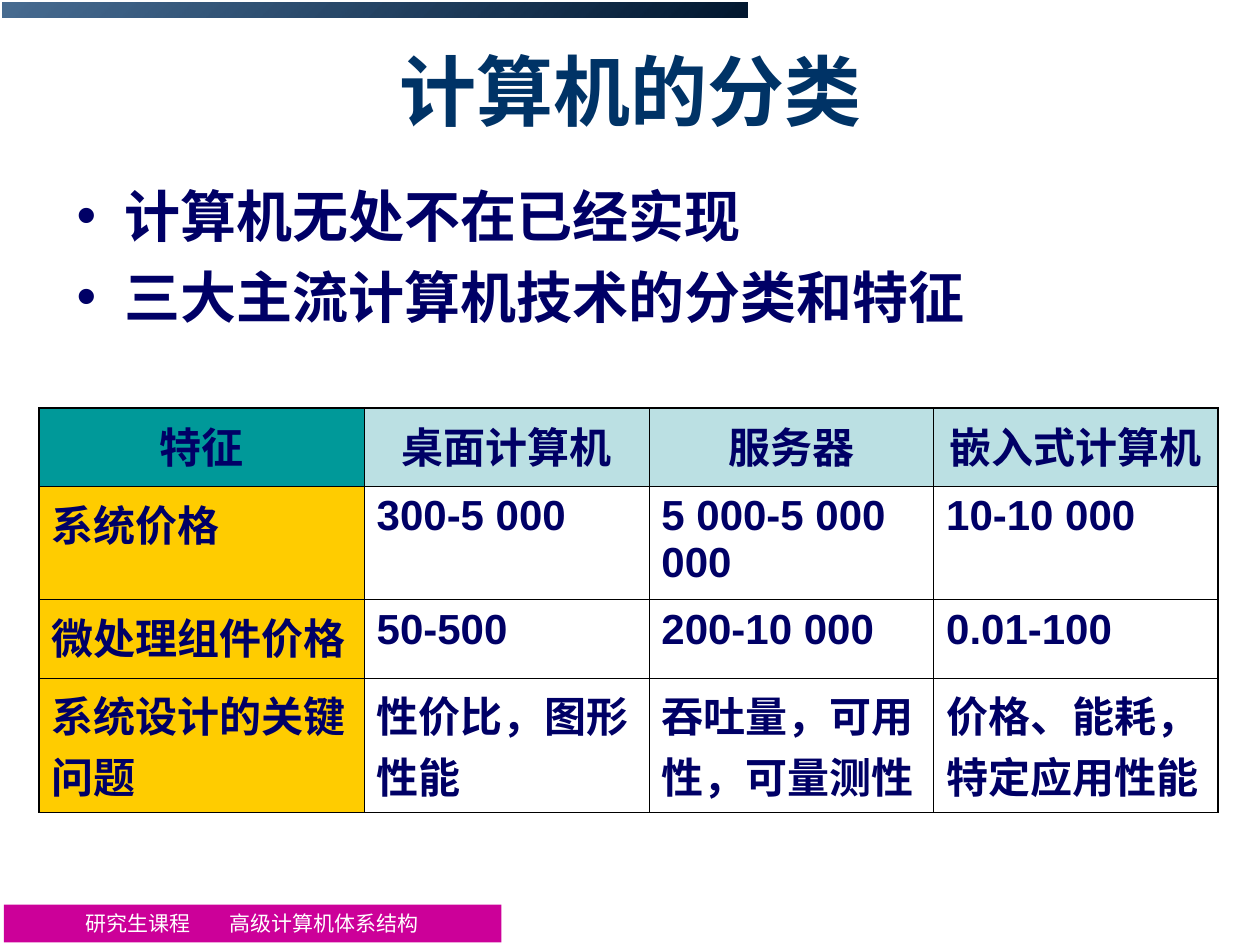
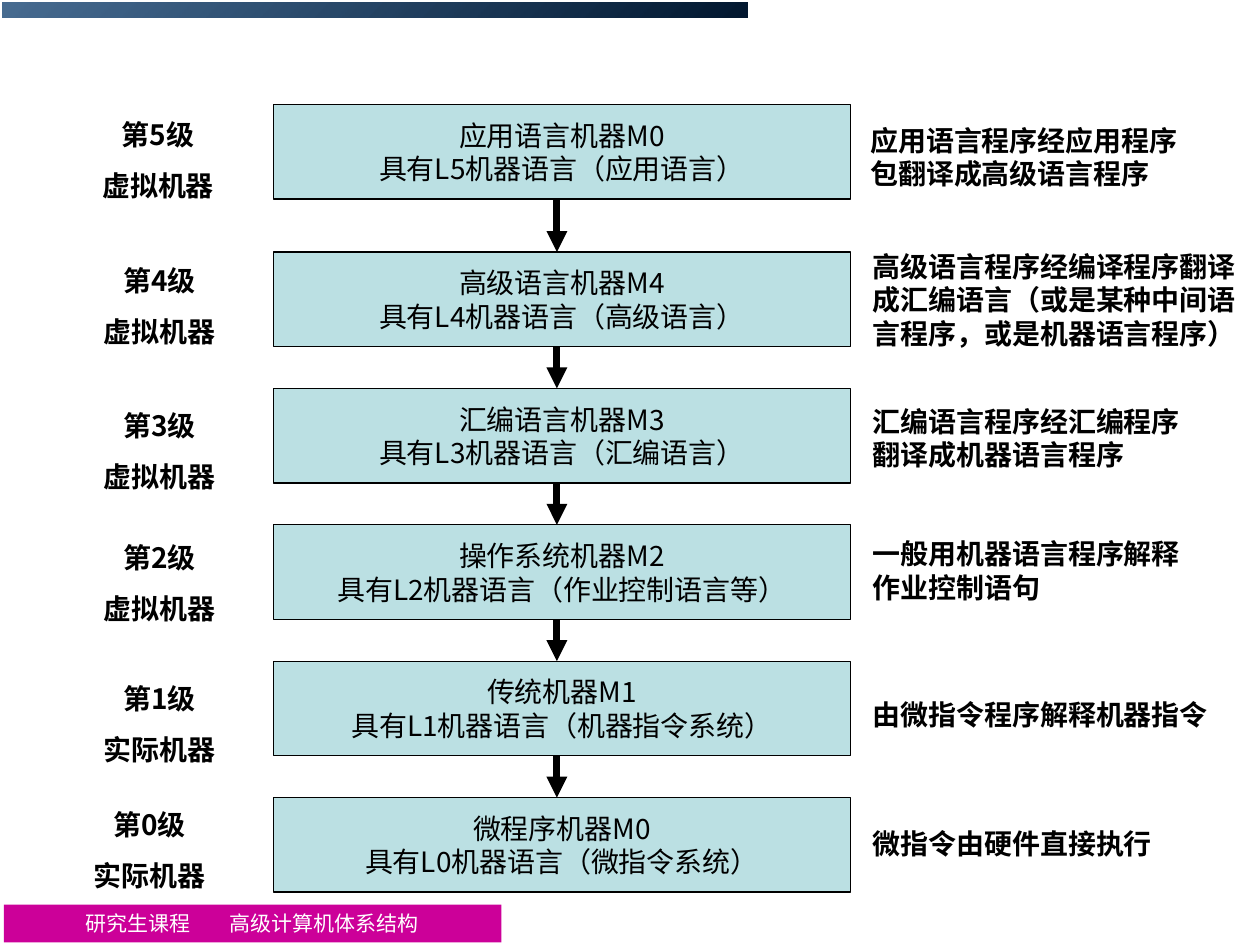
from lxml import etree
from pptx import Presentation
from pptx.dml.color import RGBColor
from pptx.enum.shapes import MSO_CONNECTOR as Connector, MSO_SHAPE as Shape
from pptx.enum.text import MSO_ANCHOR as Anchor, PP_ALIGN as Align
from pptx.oxml.ns import qn
from pptx.util import Inches, Pt

WIDTH, HEIGHT = 10, 7.5
NAVY, BLUE, NIGHT = "000066", "003366", "00172F"
PALE, TEAL, GOLD, MAGENTA = "BBE0E3", "009999", "FFCC00", "CC0099"
BLACK, WHITE = "000000", "FFFFFF"
CJK_FONT = "Noto Sans CJK SC"

FOOTER = "研究生课程\t高级计算机体系结构"
TITLE = "计算机的分类"
BULLETS = ["计算机无处不在已经实现", "三大主流计算机技术的分类和特征"]
FEATURES = [
    ["特征", "桌面计算机", "服务器", "嵌入式计算机"],
    ["系统价格", "300-5 000", "5 000-5 000 000", "10-10 000"],
    ["微处理组件价格", "50-500", "200-10 000", "0.01-100"],
    ["系统设计的关键问题", "性价比，图形性能", "吞吐量，可用性，可量测性", "价格、能耗，特定应用性能"],
]
COLUMN_WIDTHS = [2.58, 2.26, 2.26, 2.26]
ROW_HEIGHTS = [0.62, 0.9, 0.62, 1.07]

# level, kind, machine, language, explanation,
# then label left and top, explanation left, top and width
LEVELS = [
    (5, "虚拟机器", "应用语言机器M0", "应用语言", "应用语言程序经应用程序包翻译成高级语言程序",
     (0.56, 0.88), (6.81, 0.93, 2.83)),
    (4, "虚拟机器", "高级语言机器M4", "高级语言",
     "高级语言程序经编译程序翻译成汇编语言（或是某种中间语言程序，或是机器语言程序）",
     (0.57, 2.04), (6.83, 1.93, 3.17)),
    (3, "虚拟机器", "汇编语言机器M3", "汇编语言", "汇编语言程序经汇编程序翻译成机器语言程序",
     (0.57, 3.19), (6.83, 3.16, 2.83)),
    (2, "虚拟机器", "操作系统机器M2", "作业控制语言等", "一般用机器语言程序解释作业控制语句",
     (0.57, 4.24), (6.83, 4.21, 2.83)),
    (1, "实际机器", "传统机器M1", "机器指令系统", "由微指令程序解释机器指令",
     (0.57, 5.36), (6.83, 5.49, 3.17)),
    (0, "实际机器", "微程序机器M0", "微指令系统", "微指令由硬件直接执行",
     (0.49, 6.36), (6.83, 6.51, 2.83)),
]
BOX_LEFT, BOX_WIDTH, BOX_HEIGHT = 2.17, 4.58, 0.75
FIRST_BOX_TOP, SECOND_BOX_TOP, LAST_BOX_TOP = 0.83, 2, 6.33
ARROW_X = 4.42


def rgb(color):
    return RGBColor.from_string(color)


def write(frame, lines, size, color, font="Arial", bold=False, align=Align.LEFT,
          gap=0, leading=None, bullet=False):
    """Fill a text frame, one paragraph per line; gap separates the paragraphs."""
    frame.word_wrap = True
    for index, line in enumerate(lines):
        paragraph = frame.add_paragraph() if index else frame.paragraphs[0]
        paragraph.alignment = align
        if index and gap:
            paragraph.space_before = Pt(gap)
        if leading:
            paragraph.line_spacing = Pt(leading)
        if bullet:
            add_bullet(paragraph)
        run = paragraph.add_run()
        run.text = line
        run.font.name, run.font.size, run.font.bold = font, Pt(size), bold
        run.font.color.rgb = rgb(color)
        east_asian = etree.Element(qn("a:ea"), typeface=CJK_FONT)
        run._r.rPr.find(qn("a:latin")).addnext(east_asian)


def add_bullet(paragraph):
    properties = paragraph._p.get_or_add_pPr()
    properties.set("marL", str(Inches(0.38)))
    properties.set("indent", str(-Inches(0.38)))
    etree.SubElement(properties, qn("a:buFont"), typeface="Arial")
    etree.SubElement(properties, qn("a:buChar"), char="•")


def add_text(slide, left, top, width, height, lines, size, color, **style):
    box = slide.shapes.add_textbox(*map(Inches, (left, top, width, height)))
    write(box.text_frame, lines, size, color, **style)
    return box.text_frame


def add_box(slide, left, top, width, height, fill, line=None):
    shape = slide.shapes.add_shape(Shape.RECTANGLE, *map(Inches, (left, top, width, height)))
    shape.shadow.inherit = False
    shape.fill.solid()
    shape.fill.fore_color.rgb = rgb(fill)
    if line:
        shape.line.color.rgb, shape.line.width = rgb(line), Pt(0.75)
    else:
        shape.line.fill.background()
    return shape


def add_slide(presentation):
    """Add a blank slide with the shared top band and footer."""
    slide = presentation.slides.add_slide(presentation.slide_layouts[6])
    band = add_box(slide, 0.02, 0.02, 5.91, 0.12, BLUE)
    band.fill.gradient()
    band.fill.gradient_angle = 315
    for stop, position, color in zip(band.fill.gradient_stops, (0, 1), (BLUE, NIGHT)):
        stop.position, stop.color.rgb = position, rgb(color)
    first_color = next(band._element.spPr.iter(qn("a:srgbClr")))
    etree.SubElement(first_color, qn("a:alpha"), val="72000")

    footer = add_box(slide, 0.03, 7.18, 3.95, 0.3, MAGENTA)
    frame = footer.text_frame
    frame.vertical_anchor, frame.margin_left = Anchor.TOP, Inches(0.65)
    tabs = etree.SubElement(frame.paragraphs[0]._p.get_or_add_pPr(), qn("a:tabLst"))
    etree.SubElement(tabs, qn("a:tab"), pos=str(Inches(1.14)), algn="l")
    write(frame, [FOOTER], 12, WHITE, font="Times New Roman")
    return slide


def set_borders(cell, widths):
    """Draw black borders; widths are points for left, right, top, bottom."""
    properties = cell._tc.get_or_add_tcPr()
    for index, (side, width) in enumerate(zip("LRTB", widths)):
        border = etree.Element(qn(f"a:ln{side}"), w=str(Pt(width)))
        fill = etree.SubElement(border, qn("a:solidFill"))
        etree.SubElement(fill, qn("a:srgbClr"), val=BLACK)
        properties.insert(index, border)


def add_feature_table(slide):
    rows, columns = len(FEATURES), len(FEATURES[0])
    table = slide.shapes.add_table(rows, columns, Inches(0.31), Inches(3.24),
                                   Inches(sum(COLUMN_WIDTHS)), Inches(sum(ROW_HEIGHTS))).table
    table.first_row = table.horz_banding = False
    for column, width in zip(table.columns, COLUMN_WIDTHS):
        column.width = Inches(width)
    for row, height in zip(table.rows, ROW_HEIGHTS):
        row.height = Inches(height)
    for r, texts in enumerate(FEATURES):
        for c, text in enumerate(texts):
            cell = table.cell(r, c)
            fill = (PALE if c else TEAL) if r == 0 else (WHITE if c else GOLD)
            cell.fill.solid()
            cell.fill.fore_color.rgb = rgb(fill)
            write(cell.text_frame, [text], 24, NAVY, bold=True,
                  align=Align.LEFT if r else Align.CENTER)
            outer = (c == 0, c == columns - 1, r == 0, r == rows - 1)
            set_borders(cell, [1.08 if edge else 0.45 for edge in outer])


def add_arrow(slide, top, bottom):
    arrow = slide.shapes.add_connector(Connector.STRAIGHT, Inches(ARROW_X), Inches(top),
                                       Inches(ARROW_X), Inches(bottom))
    arrow.line.color.rgb, arrow.line.width = rgb(BLACK), Pt(4)
    etree.SubElement(arrow.line._get_or_add_ln(), qn("a:tailEnd"), type="triangle")
    etree.SubElement(arrow._element.spPr, qn("a:effectLst"))


def build_classification(presentation):
    slide = add_slide(presentation)
    title = add_text(slide, 0.51, 0.28, 9, 0.87, [TITLE], 44, BLUE, bold=True,
                     align=Align.CENTER)
    title.vertical_anchor = Anchor.MIDDLE
    add_text(slide, 0.51, 1.39, 9, 1.27, BULLETS, 32, NAVY, bold=True,
             gap=8, leading=38.4, bullet=True)
    add_feature_table(slide)


def build_levels(presentation):
    slide = add_slide(presentation)
    body = dict(size=16, color=BLACK, font=CJK_FONT, leading=19.2)
    even_boxes = len(LEVELS) - 1
    pitch = (LAST_BOX_TOP - SECOND_BOX_TOP) / (even_boxes - 1)
    tops = [FIRST_BOX_TOP] + [SECOND_BOX_TOP + pitch * index for index in range(even_boxes)]
    for top, (level, kind, machine, language, note, label_at, note_at) in zip(tops, LEVELS):
        box = add_box(slide, BOX_LEFT, top, BOX_WIDTH, BOX_HEIGHT, PALE, BLACK)
        box.text_frame.vertical_anchor = Anchor.MIDDLE
        write(box.text_frame, [machine, f"具有L{level}机器语言（{language}）"],
              align=Align.CENTER, **body)
        add_text(slide, *label_at, 1.39, 0.77, [f"第{level}级", kind], bold=True,
                 align=Align.CENTER, gap=10, **body)
        left, note_top, width = note_at
        add_text(slide, left, note_top, width, 0.64 if level > 1 else 0.37, [note],
                 bold=True, **{**body, "font": "Lato"})
    for top, next_top in zip(tops, tops[1:]):
        add_arrow(slide, top + BOX_HEIGHT, next_top)


def main():
    presentation = Presentation()
    presentation.slide_width, presentation.slide_height = Inches(WIDTH), Inches(HEIGHT)
    build_classification(presentation)
    build_levels(presentation)
    presentation.save("out.pptx")


if __name__ == "__main__":
    main()
